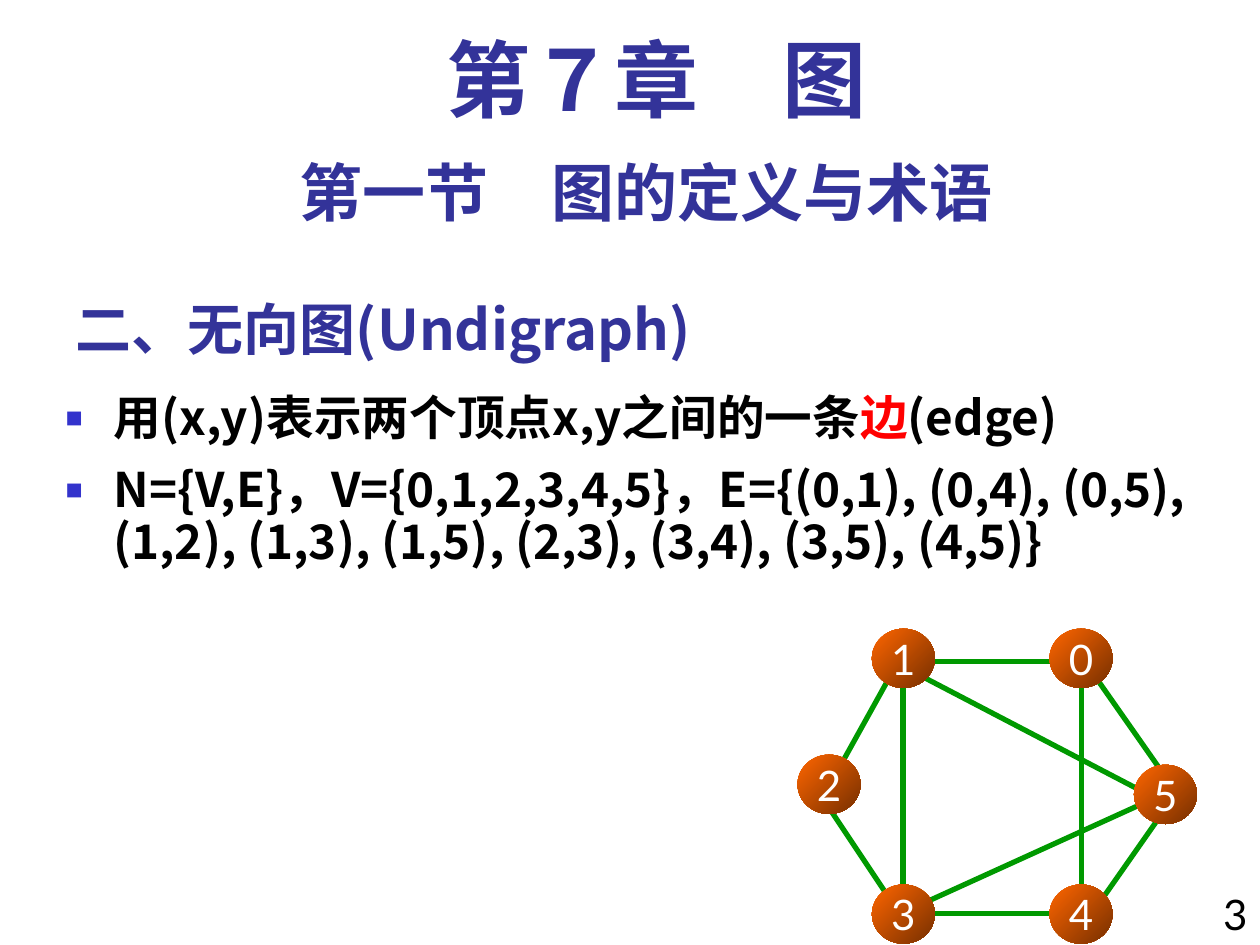
"""Build the slide that defines an undirected graph and draws an example."""
import pptx
import pptx.util
import pptx.dml.color
import pptx.enum.shapes
import pptx.enum.text
import pptx.oxml.ns
from lxml import etree

Inches, Pt = pptx.util.Inches, pptx.util.Pt
ALIGN, ANCHOR = pptx.enum.text.PP_ALIGN, pptx.enum.text.MSO_ANCHOR
NAVY, BLACK, RED, WHITE = "333399", "000000", "FF0000", "FFFFFF"
BULLET, EDGE, NODE_LIGHT, NODE_DARK = "3333CC", "009900", "FF6600", "762F00"
CJK = "Noto Sans CJK SC"

HEADING = "二、无向图(Undigraph)"
LABELS = [
    ("第７章\u3000图".replace("\u3000", "　"), (0.67, 0.17, 9.08, 0.83), 48, "Times New Roman", NAVY, True, ALIGN.CENTER),
    ("第一节　图的定义与术语", (0.5, 1.17, 9.25, 0.7), 36, "Lato", NAVY, True, ALIGN.CENTER),
    ("3", (9.33, 7, 0.67, 0.59), 24, "Lato", BLACK, False, ALIGN.RIGHT),
]
POINTS = [
    [("用(x,y)表示两个顶点x,y之间的一条", BLACK), ("边", RED), ("(edge)", BLACK)],
    [("N={V,E}，V={0,1,2,3,4,5}，E={(0,1), (0,4), (0,5), (1,2), (1,3), "
      "(1,5), (2,3), (3,4), (3,5), (4,5)}", BLACK)],
]
UNIT = 1 / 12
EDGES = [
    (101, 63, 89, 63), (103, 65, 103, 85), (104, 64, 111, 74), (85, 64, 80, 73),
    (86, 86, 86, 65), (110, 76, 87, 64), (85, 86, 79, 77), (102, 87, 87, 87),
    (110, 76, 88, 86), (111, 77, 104, 87),
]
NODE_SIZE = (0.5, 0.47)
NODES = {"1": (6.92, 4.99), "3": (6.92, 7.02), "2": (6.33, 5.99),
         "5": (9, 6.07), "4": (8.33, 7.02), "0": (8.33, 4.99)}


def color(value):
    return pptx.dml.color.RGBColor.from_string(value)


def add_tag(parent, tag, **attributes):
    return etree.SubElement(parent, pptx.oxml.ns.qn(tag), attributes)


def style(span, size, face, shade, bold=False):
    span.font.size, span.font.name, span.font.bold = Pt(size), face, bold
    span.font.color.rgb = color(shade)
    add_tag(span.font._element, "a:ea", typeface=CJK)


def place(shape, bounds):
    shape.left, shape.top, shape.width, shape.height = map(Inches, bounds)


def write(shape, text, size, face, shade, bold, align):
    shape.text_frame.text = text
    para = shape.text_frame.paragraphs[0]
    para.alignment = align
    style(para.runs[0], size, face, shade, bold)


def add_heading(page):
    title = page.shapes.title
    place(title, (0.5, 2.17, 6.25, 0.75))
    write(title, HEADING, 32, CJK, NAVY, True, ALIGN.LEFT)
    title.text_frame.vertical_anchor = ANCHOR.BOTTOM
    title.text_frame.auto_size = pptx.enum.text.MSO_AUTO_SIZE.NONE


def add_labels(page):
    for text, bounds, *look in LABELS:
        box = page.shapes.add_textbox(*map(Inches, bounds))
        box.text_frame.word_wrap = True
        write(box, text, *look)


def add_points(page):
    body = page.placeholders[1]
    place(body, (0.42, 3.08, 9.58, 2.75))
    frame = body.text_frame
    frame.auto_size = pptx.enum.text.MSO_AUTO_SIZE.NONE
    for index, pieces in enumerate(POINTS):
        para = frame.add_paragraph() if index else frame.paragraphs[0]
        para.line_spacing = 0.9
        para.space_before = Pt(12 if index else 0)
        layout = para._p.get_or_add_pPr()
        indent = Inches(0.38)
        layout.set("marL", str(indent))
        layout.set("indent", str(-indent))
        add_tag(add_tag(layout, "a:buClr"), "a:srgbClr", val=BULLET)
        add_tag(layout, "a:buSzPct", val="60000")
        add_tag(layout, "a:buChar", char="■")
        for text, shade in pieces:
            span = para.add_run()
            span.text = text
            style(span, 27.2, CJK, shade, True)


def add_graph(page):
    graph = page.shapes.add_group_shape()
    for edge in EDGES:
        ends = [Inches(step * UNIT) for step in edge]
        line = graph.shapes.add_connector(pptx.enum.shapes.MSO_CONNECTOR.STRAIGHT, *ends)
        line.line.color.rgb, line.line.width = color(EDGE), Pt(3)
        add_tag(line._element.spPr, "a:effectLst")
    for name, corner in NODES.items():
        node = graph.shapes.add_shape(pptx.enum.shapes.MSO_SHAPE.OVAL,
                                      *map(Inches, corner + NODE_SIZE))
        node.shadow.inherit = False
        node.line.fill.background()
        node.fill.gradient()
        node.fill.gradient_angle = 315
        for stop, position, shade in zip(node.fill.gradient_stops, (0, 1), (NODE_LIGHT, NODE_DARK)):
            stop.position, stop.color.rgb = position, color(shade)
        frame = node.text_frame
        frame.margin_left = frame.margin_right = 0
        frame.word_wrap, frame.vertical_anchor = False, ANCHOR.MIDDLE
        write(node, name, 24, "Lato", WHITE, False, ALIGN.CENTER)


def main():
    deck = pptx.Presentation()
    deck.slide_width, deck.slide_height = Inches(10), Inches(7.5)
    page = deck.slides.add_slide(deck.slide_layouts[1])
    add_heading(page)
    add_labels(page)
    add_points(page)
    add_graph(page)
    deck.save("out.pptx")


if __name__ == "__main__":
    main()
